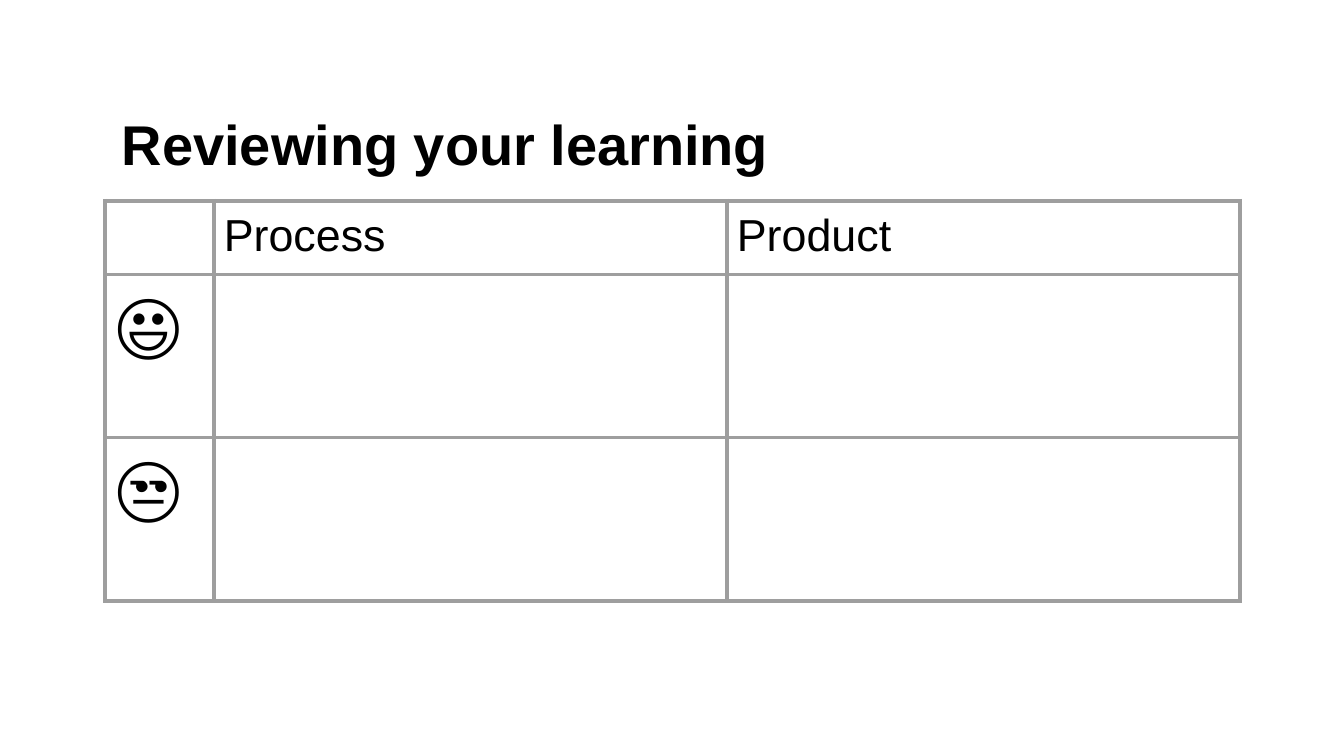
from dataclasses import dataclass

from lxml.etree import SubElement
from pptx import Presentation
from pptx.dml.color import RGBColor
from pptx.oxml.ns import qn
from pptx.slide import Slide
from pptx.table import _Cell
from pptx.text.text import TextFrame
from pptx.util import Cm, Pt


@dataclass(frozen=True)
class Theme:
    font: str = "Arial"
    ink: str = "000000"
    grid: str = "9E9E9E"
    grid_width: float = 3
    title_size: int = 40
    heading_size: int = 32
    face_size: int = 52


@dataclass(frozen=True)
class ReviewRow:
    height: float
    size: int
    texts: tuple[str, str, str]


THEME = Theme()
COLUMN_WIDTHS = (2.74, 12.93, 12.93)
REVIEW_ROWS = (
    ReviewRow(1.55, THEME.heading_size, ("", "Process", "Product")),
    ReviewRow(4.11, THEME.face_size, ("😃", "", "")),
    ReviewRow(4.11, THEME.face_size, ("😒", "", "")),
)


def write(frame: TextFrame, text: str, size: int, bold: bool = False) -> None:
    frame.text = text
    for run in frame.paragraphs[0].runs:
        run.font.name = THEME.font
        run.font.size = Pt(size)
        run.font.bold = bold
        run.font.color.rgb = RGBColor.from_string(THEME.ink)


def add_borders(cell: _Cell) -> None:
    properties = cell._tc.get_or_add_tcPr()
    for position, side in enumerate(("lnL", "lnR", "lnT", "lnB")):
        border = SubElement(properties, qn(f"a:{side}"), w=str(Pt(THEME.grid_width)))
        fill = SubElement(border, qn("a:solidFill"))
        SubElement(fill, qn("a:srgbClr"), val=THEME.grid)
        properties.insert(position, border)


def fill_cell(cell: _Cell, text: str, size: int) -> None:
    cell.margin_left = cell.margin_right = Cm(0.25)
    cell.margin_top = cell.margin_bottom = Cm(0.25)
    cell.fill.background()
    add_borders(cell)
    if text:
        write(cell.text_frame, text, size)


def add_title(slide: Slide) -> None:
    title = slide.shapes.add_textbox(Cm(2.82), Cm(2.63), Cm(29.67), Cm(1.9))
    title.text_frame.word_wrap = True
    write(title.text_frame, "Reviewing your learning", THEME.title_size, bold=True)


def add_review_table(slide: Slide) -> None:
    total_height = sum(row.height for row in REVIEW_ROWS)
    review = slide.shapes.add_table(
        len(REVIEW_ROWS), len(COLUMN_WIDTHS),
        Cm(2.65), Cm(5.06), Cm(sum(COLUMN_WIDTHS)), Cm(total_height),
    ).table
    review.first_row = False
    review.horz_banding = False
    for column, width in zip(review.columns, COLUMN_WIDTHS):
        column.width = Cm(width)
    for row, content in zip(review.rows, REVIEW_ROWS):
        row.height = Cm(content.height)
        for cell, text in zip(row.cells, content.texts):
            fill_cell(cell, text, content.size)


def main() -> None:
    deck = Presentation()
    deck.slide_width = Cm(33.87)
    deck.slide_height = Cm(19.05)
    slide = deck.slides.add_slide(deck.slide_layouts[6])
    add_title(slide)
    add_review_table(slide)
    deck.save("out.pptx")


if __name__ == "__main__":
    main()
